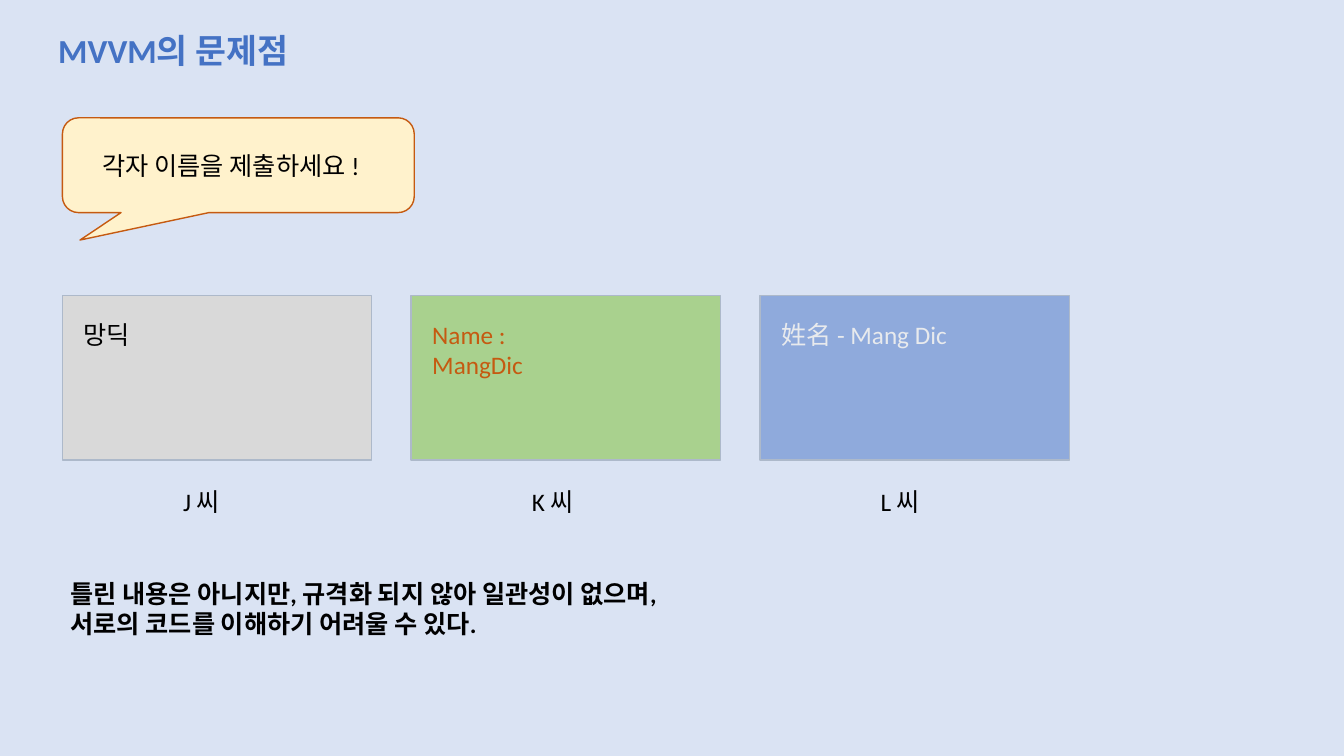
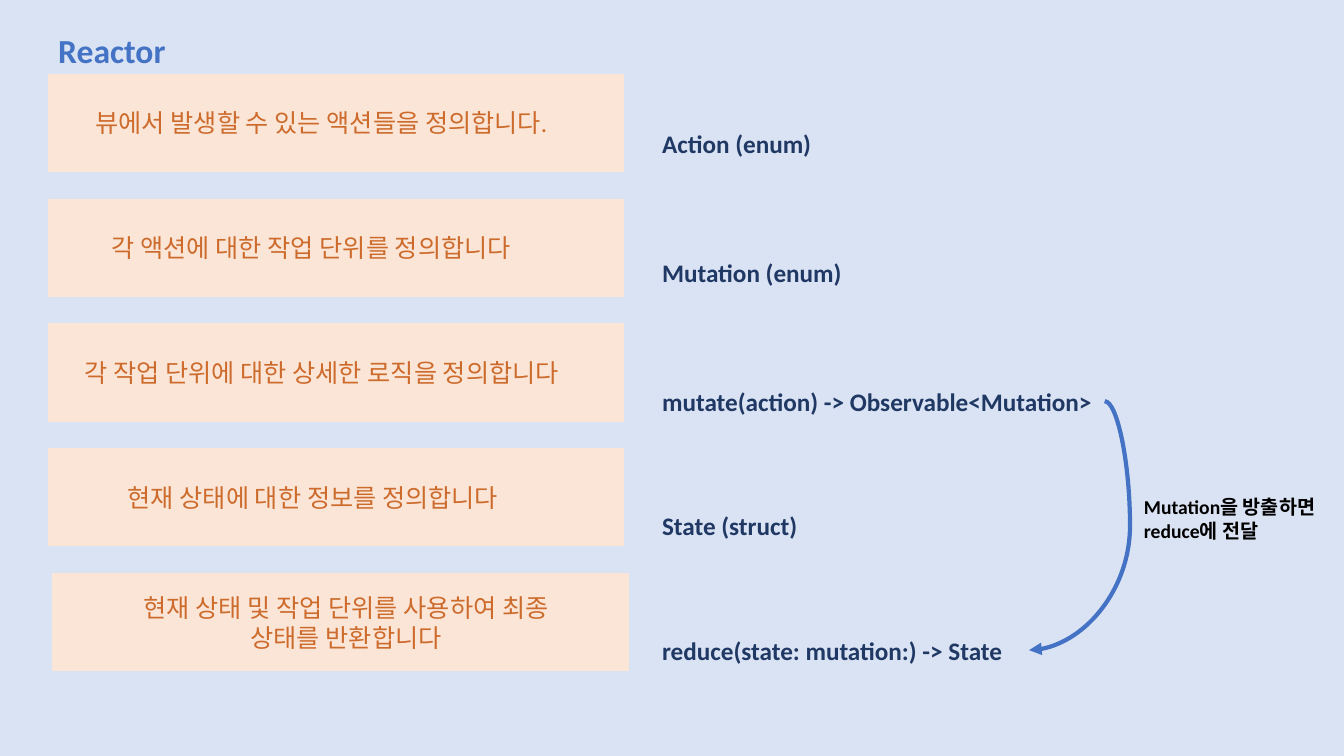
from lxml import etree
from pptx import Presentation
from pptx.dml.color import RGBColor
from pptx.enum.shapes import MSO_CONNECTOR, MSO_SHAPE
from pptx.enum.text import MSO_AUTO_SIZE, PP_ALIGN
from pptx.oxml.ns import qn
from pptx.util import Pt

RECT = MSO_SHAPE.RECTANGLE
CALLOUT = MSO_SHAPE.ROUNDED_RECTANGULAR_CALLOUT
CURVE = MSO_CONNECTOR.CURVE
LEFT, CENTER = PP_ALIGN.LEFT, PP_ALIGN.CENTER
GROW = MSO_AUTO_SIZE.SHAPE_TO_FIT_TEXT

FONT = "Calibri"
BACK = RGBColor(0xDA, 0xE3, 0xF3)
BLUE = RGBColor(0x44, 0x72, 0xC4)
NAVY = RGBColor(0x20, 0x38, 0x64)
BLACK = RGBColor(0x00, 0x00, 0x00)
GRAY = RGBColor(0xD9, 0xD9, 0xD9)
GREEN = RGBColor(0xA9, 0xD1, 0x8E)
SKY = RGBColor(0x8F, 0xAA, 0xDC)
STEEL = RGBColor(0xAD, 0xB9, 0xCA)
PALE = RGBColor(0xE8, 0xEA, 0xED)
RUST = RGBColor(0xC5, 0x5A, 0x11)
CREAM = RGBColor(0xFF, 0xF2, 0xCC)
PEACH = RGBColor(0xFB, 0xE5, 0xD6)
ORANGE = RGBColor(0xCD, 0x6B, 0x2C)

# Answer text, its colour and width, card fill, name below
CARDS = [
    ("망딕", BLACK, 89.3, GRAY, "J 씨"),
    ("Name : MangDic", RUST, 89.3, GREEN, "K 씨"),
    ("姓名 - Mang Dic", PALE, 173.5, SKY, "L 씨"),
]
CARD_GAP = 28.1

# Text, left inset, top inset, width, alignment, shift of the whole box
ROLES = [
    ("뷰에서 발생할 수 있는 액션들을 정의합니다.", 26.6, 20, 373, LEFT, 0),
    ("각 액션에 대한 작업 단위를 정의합니다", 38.2, 20, 373, LEFT, 0),
    ("각 작업 단위에 대한 상세한 로직을 정의합니다", 18.7, 20, 389, LEFT, 0),
    ("현재 상태에 대한 정보를 정의합니다", 49.7, 20, 326, LEFT, 0),
    ("현재 상태 및 작업 단위를 사용하여 최종 상태를 반환합니다",
     46.8, 9.4, 326, CENTER, 2.9),
]
ROLE_PITCH = 89.1

# Text and top offset in the column
CODES = [
    ("Action (enum)", 0),
    ("Mutation (enum)", 92.2),
    ("mutate(action) -> Observable<Mutation>", 184.3),
    ("State (struct)", 272.9),
    ("reduce(state: mutation:) -> State", 362.2),
]


def place(box):
    return [Pt(v) for v in box]


def add_text(slide, text, box, size=18, color=BLACK, bold=False, align=LEFT):
    shape = slide.shapes.add_textbox(*place(box))
    frame = shape.text_frame
    frame.word_wrap = True
    frame.auto_size = GROW
    frame.text = text
    for para in frame.paragraphs:
        para.alignment = align
        for run in para.runs:
            font = run.font
            font.name, font.size, font.bold = FONT, Pt(size), bold
            font.color.rgb = color


def add_box(slide, box, fill, line, kind=RECT):
    shape = slide.shapes.add_shape(kind, *place(box))
    shape.shadow.inherit = False
    shape.fill.solid()
    shape.fill.fore_color.rgb = fill
    shape.line.color.rgb = line
    shape.line.width = Pt(1)
    return shape


def add_slide(deck, title):
    slide = deck.slides.add_slide(deck.slide_layouts[6])
    slide.background.fill.solid()
    slide.background.fill.fore_color.rgb = BACK
    add_text(slide, title, (34.5, 17.6, 196.6, 36), size=24, color=BLUE,
             bold=True)
    return slide


def add_call(slide, box, text):
    x, y, w, h = box
    shape = add_box(slide, box, CREAM, RUST, CALLOUT)
    for i, value in enumerate((-0.45, 0.79, 0.17)):
        shape.adjustments[i] = value
    add_text(slide, text, (x + 21.6, y + 19.4, w + 10, 29))


def add_card(slide, box, card):
    text, color, width, fill, name = card
    x, y, w, h = box
    add_box(slide, box, fill, STEEL)
    add_text(slide, text, (x + 8, y + 13.6, width, 29), color=color)
    add_text(slide, name, (x + 79.2, y + h + 15, 89.3, 29))


def add_cards(slide, box):
    """Fill a row with equal cards."""
    x, y, w, h = box
    width = (w - CARD_GAP * (len(CARDS) - 1)) / len(CARDS)
    for i, card in enumerate(CARDS):
        add_card(slide, (x + i * (width + CARD_GAP), y, width, h), card)


def add_roles(slide, box):
    """Stack the role boxes; the given box is the first one."""
    x, y, w, h = box
    for i, (text, dx, dy, width, align, shift) in enumerate(ROLES):
        left, top = x + shift, y + i * ROLE_PITCH
        add_box(slide, (left, top, w, h), PEACH, PEACH)
        add_text(slide, text, (left + dx, top + dy, width, 29),
                 color=ORANGE, align=align)


def add_codes(slide, box):
    x, y, w, h = box
    for text, dy in CODES:
        add_text(slide, text, (x, y + dy, w, h), color=NAVY, bold=True)


def add_flow(slide, box, note):
    """Curve from the top right to the bottom left, with a note beside it."""
    x, y, w, h = box
    curve = slide.shapes.add_connector(CURVE, *place((x + w, y, x, y + h)))
    curve.line.color.rgb = BLUE
    curve.line.width = Pt(3)
    props = curve.element.spPr
    guides = props.find(qn("a:prstGeom")).get_or_add_avLst()
    etree.SubElement(guides, qn("a:gd"), name="adj1", fmla="val -33500")
    line = curve.line._get_or_add_ln()
    etree.SubElement(line, qn("a:tailEnd"), type="triangle")
    etree.SubElement(props, qn("a:effectLst"))
    add_text(slide, note, (x + w + 20.9, y + 63.4, 149.8, 41), size=14,
             bold=True)


def build_issue(deck):
    slide = add_slide(deck, "MVVM의 문제점")
    add_cards(slide, (44.6, 211, 719.2, 117.6))
    add_call(slide, (44.6, 84.2, 251.3, 67.7), "각자 이름을 제출하세요 !")
    add_text(slide, "틀린 내용은 아니지만, 규격화 되지 않아 일관성이 없으며,\n"
             "서로의 코드를 이해하기 어려울 수 있다.",
             (43.2, 409.7, 720.7, 51), bold=True)


def build_parts(deck):
    slide = add_slide(deck, "Reactor")
    add_roles(slide, (34.5, 53.4, 411.1, 69.1))
    add_codes(slide, (465.8, 87.8, 323.3, 29))
    add_flow(slide, (735.1, 286.6, 54, 177.8),
             "Mutation을 방출하면 reduce에 전달")


def main():
    deck = Presentation()
    deck.slide_width, deck.slide_height = Pt(960), Pt(540)
    build_issue(deck)
    build_parts(deck)
    deck.save("out.pptx")


if __name__ == "__main__":
    main()
